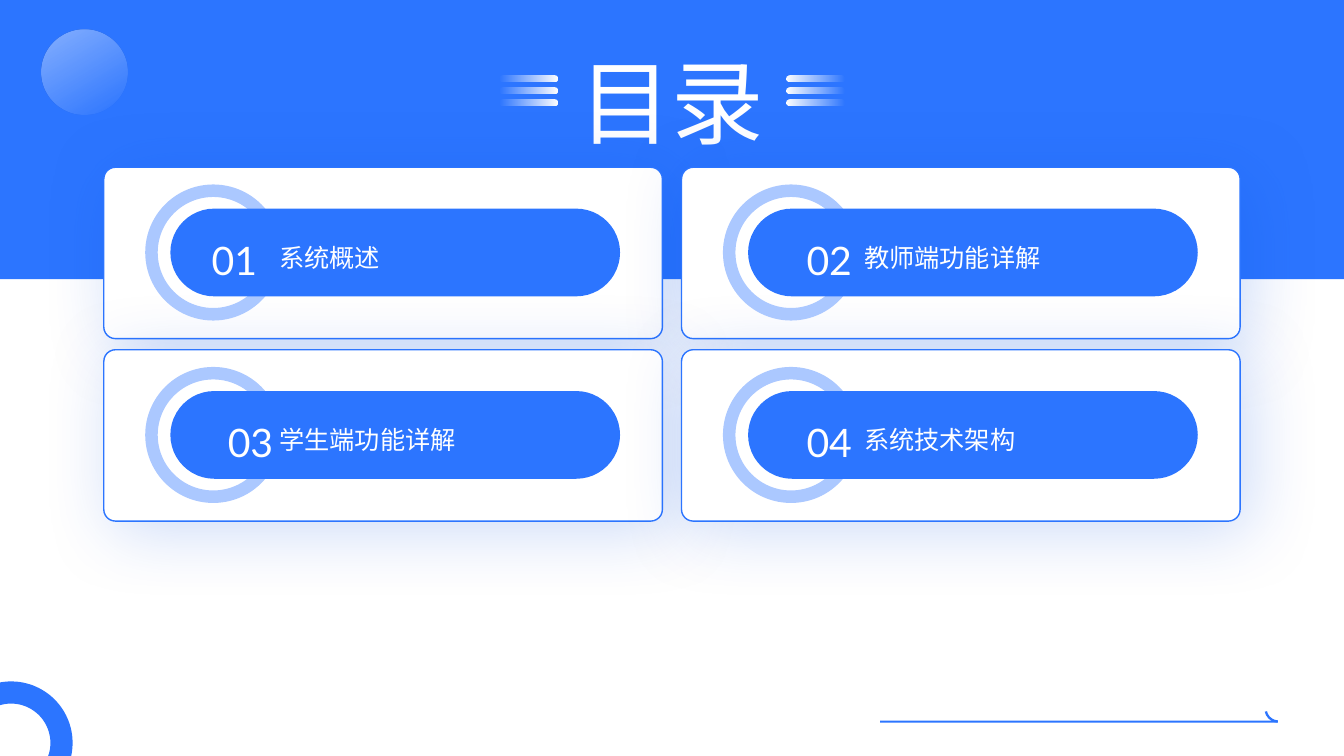
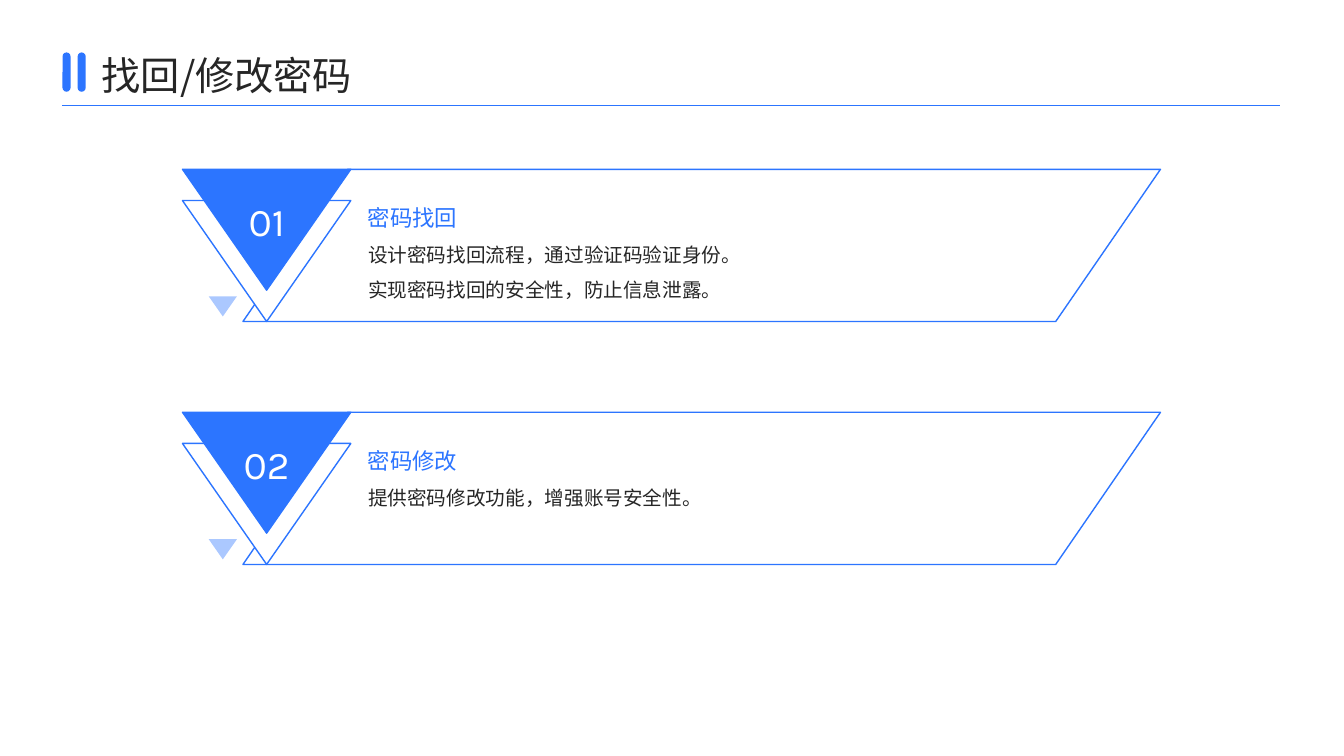
from dataclasses import dataclass
from math import asin, cos, pi, sin
from typing import NamedTuple

from lxml import etree
from pptx import Presentation
from pptx.dml.color import RGBColor
from pptx.enum.shapes import MSO_CONNECTOR, MSO_SHAPE as Preset
from pptx.enum.text import MSO_ANCHOR as Anchor, MSO_AUTO_SIZE as AutoSize, PP_ALIGN as Align
from pptx.oxml.ns import qn
from pptx.shapes.autoshape import Shape
from pptx.slide import Slide
from pptx.util import Inches, Pt


@dataclass(frozen=True)
class Theme:
    blue: RGBColor = RGBColor(0x2C, 0x75, 0xFF)
    pale: RGBColor = RGBColor(0xAB, 0xC8, 0xFF)
    white: RGBColor = RGBColor(0xFF, 0xFF, 0xFF)
    ink: RGBColor = RGBColor(0x26, 0x26, 0x26)
    shadow: str = "004EE0"
    latin: str = "Lato"
    digits: str = "Karla"
    chinese: str = "Noto Sans CJK SC"
    cover_size: int = 66
    title_size: int = 28
    number_size: int = 28
    label_size: int = 18
    heading_size: int = 16
    body_size: int = 14


THEME = Theme()


class Box(NamedTuple):
    left: float
    top: float
    width: float
    height: float

    def emu(self) -> list[int]:
        return [Inches(length) for length in self]


@dataclass(frozen=True)
class TextStyle:
    size: int
    color: RGBColor
    font: str
    align: Align = Align.LEFT
    anchor: Anchor = Anchor.TOP
    spacing: float = 1.3
    auto_size: AutoSize = AutoSize.NONE


COVER_TITLE = TextStyle(THEME.cover_size, THEME.white, THEME.latin, Align.CENTER,
                        auto_size=AutoSize.SHAPE_TO_FIT_TEXT)
PAGE_TITLE = TextStyle(THEME.title_size, THEME.ink, THEME.chinese,
                       anchor=Anchor.MIDDLE, spacing=1.1)
CARD_LABEL = TextStyle(THEME.label_size, THEME.white, THEME.latin, anchor=Anchor.MIDDLE)
CARD_NUMBER = TextStyle(THEME.number_size, THEME.white, THEME.latin, Align.RIGHT, Anchor.MIDDLE)
ITEM_NUMBER = TextStyle(THEME.number_size, THEME.white, THEME.digits, Align.CENTER)
ITEM_HEADING = TextStyle(THEME.heading_size, THEME.blue, THEME.chinese, anchor=Anchor.BOTTOM)
ITEM_BODY = TextStyle(THEME.body_size, THEME.ink, THEME.chinese, spacing=1.5)


@dataclass(frozen=True)
class Card:
    number: str
    label: str
    left: float
    top: float
    number_right: float
    label_left: float


@dataclass(frozen=True)
class Item:
    number: str
    heading: str
    lines: tuple[str, ...]


CARDS = [
    Card("01", "系统概述", 1.03, 1.66, 2.55, 2.77),
    Card("02", "教师端功能详解", 6.76, 1.66, 8.45, 8.57),
    Card("03", "学生端功能详解", 1.03, 3.47, 2.71, 2.77),
    Card("04", "系统技术架构", 6.76, 3.47, 8.45, 8.57),
]
ITEMS = [
    Item("01", "密码找回", ("设计密码找回流程，通过验证码验证身份。",
                        "实现密码找回的安全性，防止信息泄露。")),
    Item("02", "密码修改", ("提供密码修改功能，增强账号安全性。",)),
]
ITEM_TOP, ITEM_PITCH = 1.68, 2.41


def paint(shape: Shape, fill: RGBColor | None, line: RGBColor | None = None) -> None:
    shape.shadow.inherit = False
    if fill is not None:
        shape.fill.solid()
        shape.fill.fore_color.rgb = fill
    if line is None:
        shape.line.fill.background()
    else:
        shape.line.color.rgb = line
        shape.line.width = Pt(1)


def add_preset(slide: Slide, preset: Preset, box: Box, fill: RGBColor | None,
               line: RGBColor | None = None, adjust: tuple[float, ...] = ()) -> Shape:
    shape = slide.shapes.add_shape(preset, *box.emu())
    for index, value in enumerate(adjust):
        shape.adjustments[index] = value
    paint(shape, fill, line)
    return shape


def flip_vertically(shape: Shape) -> None:
    shape._element.spPr.find(qn("a:xfrm")).set("flipV", "1")


def fade_white(shape: Shape, stops: list[tuple[float, float]]) -> None:
    """Fill with a white gradient; each stop is (position, opacity)."""
    shape.fill.gradient()
    shape.fill.gradient_angle = 0
    for stop, (position, _) in zip(shape.fill.gradient_stops, stops):
        stop.position = position
        stop.color.rgb = THEME.white
    colors = shape._element.spPr.iter(qn("a:srgbClr"))
    for color, (_, opacity) in zip(list(colors), stops):
        etree.SubElement(color, qn("a:alpha"), val=str(round(opacity * 100000)))


def add_soft_shadow(shape: Shape) -> None:
    effects = shape._element.spPr.find(qn("a:effectLst"))
    shadow = etree.SubElement(effects, qn("a:outerShdw"), blurRad=str(Pt(52)), dist=str(Pt(9)),
                              dir=str(45 * 60000), algn="tl", rotWithShape="0")
    color = etree.SubElement(shadow, qn("a:srgbClr"), val=THEME.shadow)
    etree.SubElement(color, qn("a:alpha"), val="20000")


def write_text(shape: Shape, lines: tuple[str, ...], style: TextStyle) -> None:
    frame = shape.text_frame
    frame.margin_left = frame.margin_top = frame.margin_right = frame.margin_bottom = 0
    frame.word_wrap = True
    frame.auto_size = style.auto_size
    frame.vertical_anchor = style.anchor
    for index, line in enumerate(lines):
        paragraph = frame.add_paragraph() if index else frame.paragraphs[0]
        paragraph.text = line
        paragraph.alignment = style.align
        paragraph.line_spacing = style.spacing
        paragraph.space_before = Pt(0)
        properties = paragraph._p.get_or_add_pPr()
        properties.set("marL", "0")
        properties.set("indent", "0")
        etree.SubElement(properties, qn("a:buNone"))
        font = paragraph.font
        font.size = Pt(style.size)
        font.color.rgb = style.color
        font.name = style.font
        etree.SubElement(properties.find(qn("a:defRPr")), qn("a:ea"), typeface=THEME.chinese)


def add_text(slide: Slide, text: str, box: Box, style: TextStyle) -> None:
    write_text(slide.shapes.add_textbox(*box.emu()), (text,), style)


def fill_placeholder(slide: Slide, index: int, lines: tuple[str, ...], box: Box,
                     style: TextStyle) -> None:
    """Place and write a placeholder, bringing it in front of what is drawn so far."""
    placeholder = next(item for item in slide.placeholders
                       if item.placeholder_format.idx == index)
    placeholder.left, placeholder.top, placeholder.width, placeholder.height = box.emu()
    write_text(placeholder, lines, style)
    slide.shapes._spTree.append(placeholder._element)


def add_corner_ring(slide: Slide) -> None:
    """Draw the part of a ring that lies inside the lower left slide corner."""
    center_x, center_y, bottom, steps = 0.11, 7.37, 7.5, 40

    def arc(radius: float) -> list[tuple[int, int]]:
        start = -pi / 2 - asin(center_x / radius)
        end = asin((bottom - center_y) / radius)
        angles = [start + (end - start) * step / steps for step in range(steps + 1)]
        return [(Inches(center_x + radius * cos(angle)), Inches(center_y + radius * sin(angle)))
                for angle in angles]

    outline = arc(0.61) + arc(0.39)[::-1]
    builder = slide.shapes.build_freeform(*outline[0])
    builder.add_line_segments(outline[1:], close=True)
    paint(builder.convert_to_shape(), THEME.blue)


def add_cover_decoration(slide: Slide) -> None:
    add_preset(slide, Preset.RECTANGLE, Box(8.73, 7.15, 3.94, 0.02), THEME.blue)
    hook = add_preset(slide, Preset.BLOCK_ARC, Box(12.54, 6.89, 0.28, 0.28), THEME.blue,
                      adjust=(108, 152.861, 0.083))
    hook.rotation = 347.4
    flip_vertically(hook)
    for left, opacities in ((4.95, (0, 1)), (7.8, (1, 0))):
        for row in range(3):
            bar = add_preset(slide, Preset.ROUNDED_RECTANGLE,
                             Box(left, 0.75 + 0.12 * row, 0.58, 0.06), None, adjust=(0.5,))
            fade_white(bar, list(zip((0, 1), opacities)))
    bubble = add_preset(slide, Preset.OVAL, Box(0.41, 0.29, 0.85, 0.85), None)
    bubble.rotation = 238.6
    fade_white(bubble, [(0.16, 0), (1, 0.51)])
    add_corner_ring(slide)


def build_contents(slide: Slide) -> None:
    add_preset(slide, Preset.RECTANGLE, Box(0, 0, 13.33, 2.77), THEME.blue)
    fill_placeholder(slide, 0, ("目录",), Box(5.3, 0.12, 2.72, 1.19), COVER_TITLE)
    for card in CARDS:
        panel = add_preset(slide, Preset.ROUNDED_RECTANGLE, Box(card.left, card.top, 5.54, 1.7),
                           THEME.white, THEME.blue, (0.068,))
        add_soft_shadow(panel)
    add_cover_decoration(slide)
    for card in CARDS:
        pill_top = card.top + 0.41
        add_preset(slide, Preset.DONUT, Box(card.left + 0.41, card.top + 0.17, 1.35, 1.35),
                   THEME.pale, adjust=(0.092,))
        add_preset(slide, Preset.ROUNDED_RECTANGLE, Box(card.left + 0.66, pill_top, 4.46, 0.87),
                   THEME.blue, adjust=(0.5,))
        add_text(slide, card.label, Box(card.label_left, pill_top, 3.03, 0.87), CARD_LABEL)
        add_text(slide, card.number, Box(card.number_right - 1.2, pill_top, 1.2, 0.87),
                 CARD_NUMBER)


def add_triangle(slide: Slide, box: Box, fill: RGBColor, line: RGBColor | None = None) -> None:
    flip_vertically(add_preset(slide, Preset.ISOSCELES_TRIANGLE, box, fill, line))


def add_item(slide: Slide, item: Item, top: float, body_index: int) -> None:
    add_preset(slide, Preset.PARALLELOGRAM, Box(2.41, top, 9.1, 1.51),
               THEME.white, THEME.blue, (0.688,))
    add_triangle(slide, Box(1.81, top + 0.31, 1.67, 1.2), THEME.white, THEME.blue)
    add_triangle(slide, Box(1.81, top, 1.67, 1.2), THEME.blue, THEME.blue)
    add_triangle(slide, Box(2.07, top + 1.26, 0.28, 0.2), THEME.pale)
    add_text(slide, item.number, Box(2.35, top + 0.14, 0.59, 0.58), ITEM_NUMBER)
    add_text(slide, item.heading, Box(3.65, top + 0.14, 6.84, 0.47), ITEM_HEADING)
    fill_placeholder(slide, body_index, item.lines, Box(3.65, top + 0.61, 6.84, 0.91), ITEM_BODY)


def add_page_header(slide: Slide, title: str) -> None:
    fill_placeholder(slide, 0, (title,), Box(1.01, 0.46, 10.97, 0.51), PAGE_TITLE)
    for left in (0.62, 0.77):
        add_preset(slide, Preset.ROUNDED_RECTANGLE, Box(left, 0.52, 0.08, 0.39), THEME.blue,
                   adjust=(0.5,))
    rule = slide.shapes.add_connector(MSO_CONNECTOR.STRAIGHT, Inches(0.62), Inches(1.05),
                                      Inches(12.7), Inches(1.05))
    rule.line.color.rgb = THEME.blue
    rule.line.width = Pt(0.5)
    etree.SubElement(rule._element.spPr, qn("a:effectLst"))


def build_password_page(slide: Slide) -> None:
    for index, item in enumerate(ITEMS):
        add_item(slide, item, ITEM_TOP + ITEM_PITCH * index, index + 1)
    add_page_header(slide, "找回/修改密码")


def main() -> None:
    presentation = Presentation()
    presentation.slide_width, presentation.slide_height = Inches(13.33), Inches(7.5)
    layouts = presentation.slide_layouts
    build_contents(presentation.slides.add_slide(layouts.get_by_name("Title Only")))
    build_password_page(presentation.slides.add_slide(layouts.get_by_name("Two Content")))
    presentation.save("out.pptx")


if __name__ == "__main__":
    main()
